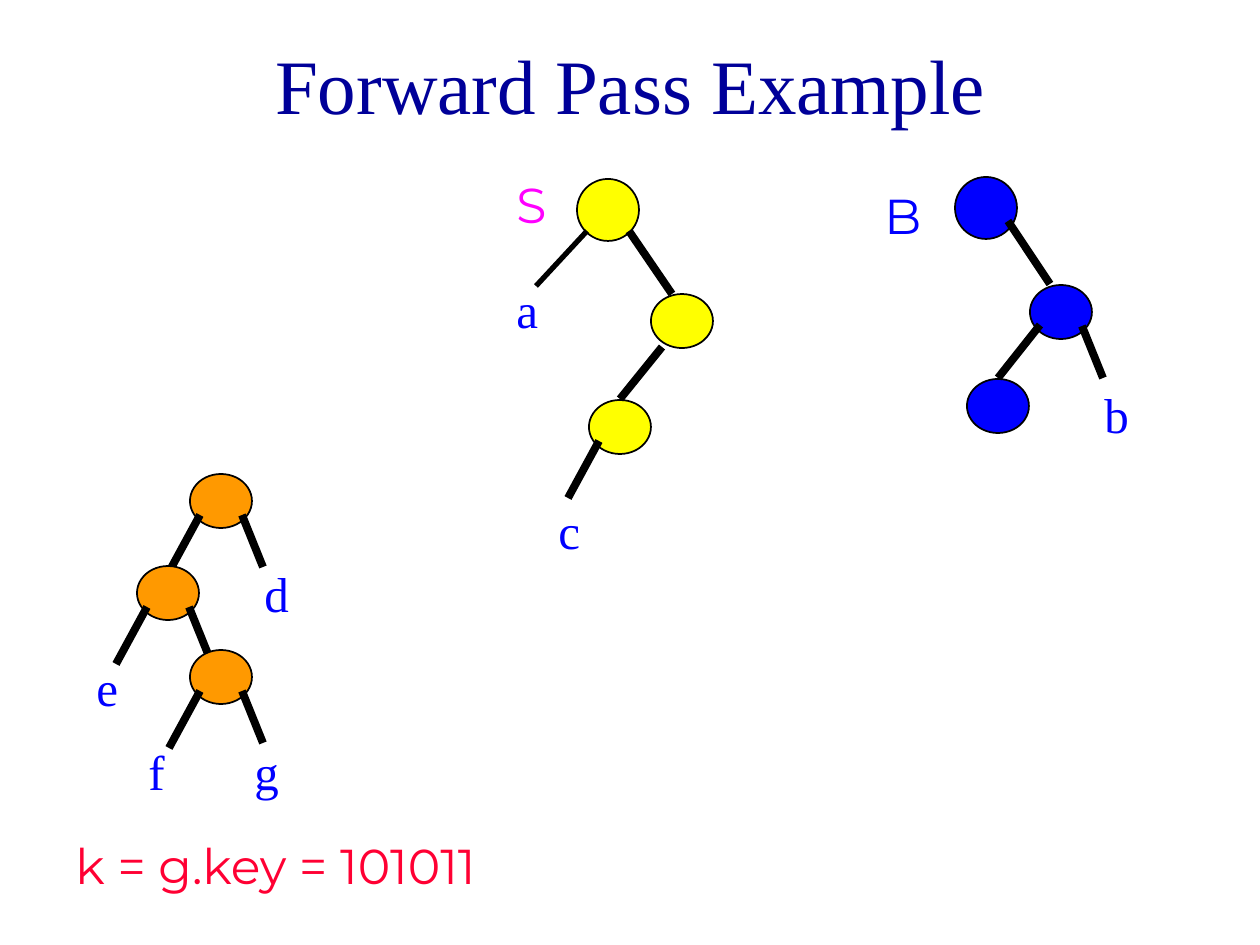
from lxml import etree
from pptx import Presentation
from pptx.dml.color import RGBColor
from pptx.enum.shapes import MSO_CONNECTOR as Connector, MSO_SHAPE as Shape
from pptx.enum.text import MSO_ANCHOR as Anchor, PP_ALIGN as Align
from pptx.oxml.ns import qn
from pptx.util import Pt

SCALE = 914400 / 126
COLORS = {
    "title": "000099",
    "orange": "FF9900",
    "yellow": "FFFF00",
    "blue": "0000FF",
    "magenta": "FF00FF",
    "red": "FF0033",
    "black": "000000",
    "white": "FFFFFF",
}
SERIF = "Times New Roman"
SANS = "Montserrat"
NODE_WIDTH = 62
LEFT_BRANCH = (10, 41, -21, 98)
RIGHT_BRANCH = (52, 41, 73, 93)

presentation = Presentation()
presentation.slide_width = round(1260 * SCALE)
presentation.slide_height = round(945 * SCALE)
slide = presentation.slides.add_slide(presentation.slide_layouts[6])


def add_branch(ends, width=4.5):
    branch = slide.shapes.add_connector(
        Connector.STRAIGHT, *[round(value * SCALE) for value in ends])
    branch.line.color.rgb = RGBColor.from_string(COLORS["black"])
    branch.line.width = Pt(width)
    etree.SubElement(branch._element.spPr, qn("a:effectLst"))


def add_text(text, left, top, width, height, color, font=SERIF, size=28):
    box = slide.shapes.add_textbox(
        *[round(value * SCALE) for value in (left, top, width, height)])
    box.text_frame.word_wrap = True
    run = box.text_frame.paragraphs[0].add_run()
    run.text = text
    run.font.name = font
    run.font.size = Pt(size)
    run.font.color.rgb = RGBColor.from_string(COLORS[color])
    return box


title = add_text("Forward Pass Example", 95, 21, 1071, 126, "title", size=44)
title.text_frame.vertical_anchor = Anchor.MIDDLE
title.text_frame.paragraphs[0].alignment = Align.CENTER

nodes = [
    ("orange", 190, 474, 54, [LEFT_BRANCH, RIGHT_BRANCH]),
    ("orange", 137, 566, 54, [LEFT_BRANCH, RIGHT_BRANCH]),
    ("orange", 190, 650, 54, [LEFT_BRANCH, RIGHT_BRANCH]),
    ("yellow", 577, 179, 62, []),
    ("yellow", 651, 294, 54, []),
    ("yellow", 589, 400, 54, [LEFT_BRANCH]),
    ("blue", 1030, 285, 54, [RIGHT_BRANCH]),
    ("blue", 955, 177, 62, []),
    ("blue", 967, 379, 54, []),
]
for color, left, top, height, branches in nodes:
    node = slide.shapes.add_shape(
        Shape.OVAL,
        *[round(value * SCALE) for value in (left, top, NODE_WIDTH, height)])
    node.shadow.inherit = False
    node.fill.solid()
    node.fill.fore_color.rgb = RGBColor.from_string(COLORS[color])
    node.line.color.rgb = RGBColor.from_string(COLORS["black"])
    node.line.width = Pt(1)
    for x1, y1, x2, y2 in branches:
        add_branch((left + x1, top + y1, left + x2, top + y2))

add_branch((587, 231, 536, 286), 3)
for ends in [
    (629, 231, 672, 294),
    (662, 347, 620, 399),
    (1008, 221, 1050, 284),
    (1040, 325, 998, 378),
]:
    add_branch(ends)

for letter, left, top in [
    ("d", 252, 557),
    ("e", 84, 651),
    ("f", 136, 735),
    ("g", 242, 735),
    ("a", 504, 273),
    ("c", 546, 494),
    ("b", 1092, 378),
]:
    add_text(letter, left, top, 63, 72, "blue")

add_text("S", 504, 168, 73, 72, "magenta", SANS)
add_text("B", 872, 179, 73, 72, "blue", SANS)

key = add_text("k = g.key = 101011", 63, 829, 683, 72, "red", SANS)
key.fill.solid()
key.fill.fore_color.rgb = RGBColor.from_string(COLORS["white"])

presentation.save("out.pptx")
